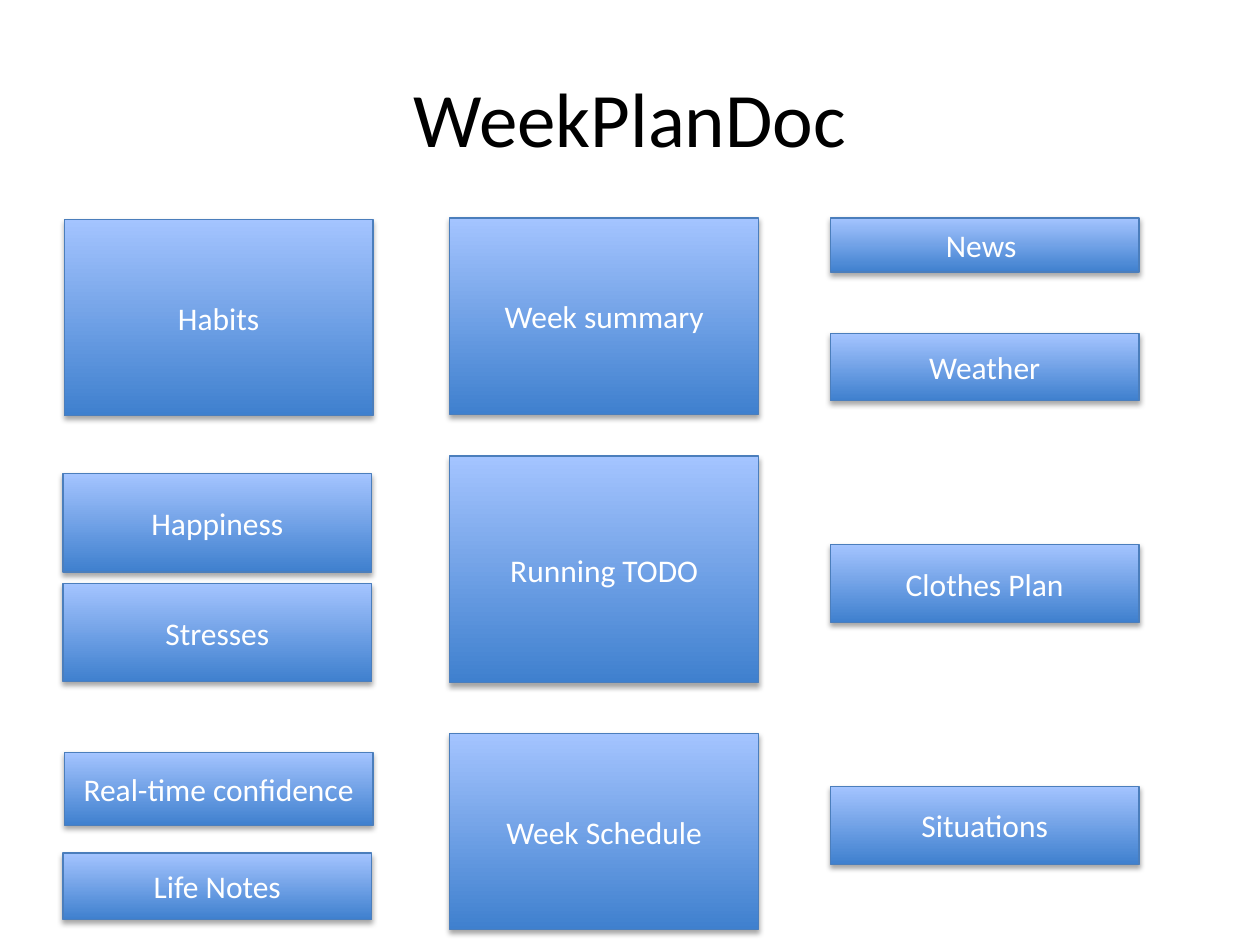
from dataclasses import dataclass

from lxml import etree
from pptx import Presentation
from pptx import util as u
from pptx.dml.color import RGBColor
from pptx.enum import shapes, text
from pptx.oxml.ns import qn

SLIDE_WIDTH, SLIDE_HEIGHT = 10, 7.5
COLUMN_LEFTS = (0.5, 3.57, 6.59)
COLUMN_WIDTH = 2.45
FONT = "Calibri"
DARK_BLUE, LIGHT_BLUE, OUTLINE = "3F80CE", "A4C4FF", "4B7EBC"
WHITE, BLACK = "FFFFFF", "000000"


@dataclass(frozen=True)
class Section:
    label: str
    column: int
    top: float
    height: float
    indent: float = 0


SECTIONS = (
    # Left column: personal state
    Section("Habits", 0, 1.74, 1.56, 0.01),
    Section("Happiness", 0, 3.76, 0.78),
    Section("Stresses", 0, 4.63, 0.78),
    Section("Real-time confidence", 0, 5.97, 0.58, 0.01),
    Section("Life Notes", 0, 6.77, 0.53),
    # Middle column: the week
    Section("Week summary", 1, 1.73, 1.56),
    Section("Running TODO", 1, 3.62, 1.8),
    Section("Week Schedule", 1, 5.82, 1.56),
    # Right column: surroundings
    Section("News ", 2, 1.73, 0.43),
    Section("Weather", 2, 2.65, 0.53),
    Section("Clothes Plan", 2, 4.32, 0.62),
    Section("Situations", 2, 6.24, 0.62),
)


def rgb(value: str) -> RGBColor:
    return RGBColor.from_string(value)


def write(shape, wording: str, size: float, color: str) -> None:
    """Set one centred line of text in the middle of the shape."""
    frame = shape.text_frame
    frame.text = wording
    frame.word_wrap = True
    frame.vertical_anchor = text.MSO_ANCHOR.MIDDLE
    line = frame.paragraphs[0]
    line.alignment = text.PP_ALIGN.CENTER
    line.font.name = FONT
    line.font.size = u.Pt(size)
    line.font.color.rgb = rgb(color)


def add_shadow(shape) -> None:
    """Give the shape a soft shadow falling straight down."""
    shape.shadow.inherit = False
    effects = shape.element.spPr.find(qn("a:effectLst"))
    shadow = etree.SubElement(
        effects, qn("a:outerShdw"), blurRad=str(u.Pt(3.1)),
        dist=str(u.Pt(1.8)), dir="5400000", rotWithShape="0")
    color = etree.SubElement(shadow, qn("a:srgbClr"), val=BLACK)
    etree.SubElement(color, qn("a:alpha"), val="35000")


def draw_section(slide, section: Section) -> None:
    box = slide.shapes.add_shape(
        shapes.MSO_SHAPE.RECTANGLE,
        u.Inches(COLUMN_LEFTS[section.column] + section.indent),
        u.Inches(section.top), u.Inches(COLUMN_WIDTH), u.Inches(section.height))
    box.fill.gradient()
    box.fill.gradient_angle = 90
    for stop, color in zip(box.fill.gradient_stops, (DARK_BLUE, LIGHT_BLUE)):
        stop.color.rgb = rgb(color)
    box.line.color.rgb = rgb(OUTLINE)
    box.line.width = u.Pt(0.75)
    add_shadow(box)
    write(box, section.label, 18, WHITE)


def main() -> None:
    deck = Presentation()
    deck.slide_width = u.Inches(SLIDE_WIDTH)
    deck.slide_height = u.Inches(SLIDE_HEIGHT)
    slide = deck.slides.add_slide(deck.slide_layouts[5])

    # Title
    title = slide.shapes.title
    title.left, title.top = u.Inches(0.5), u.Inches(0.3)
    title.width, title.height = u.Inches(9), u.Inches(1.25)
    write(title, "WeekPlanDoc", 44, BLACK)

    # Sections of the document
    for section in SECTIONS:
        draw_section(slide, section)

    deck.save("out.pptx")


if __name__ == "__main__":
    main()
